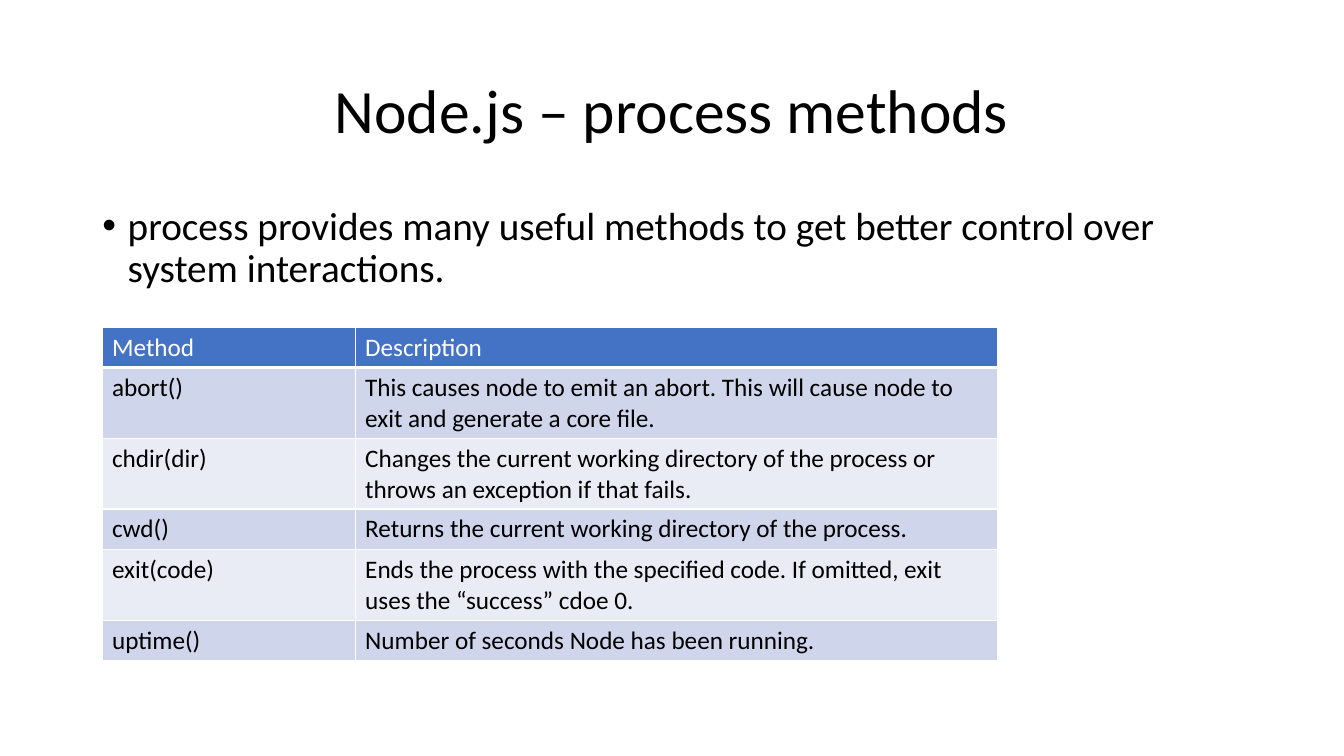
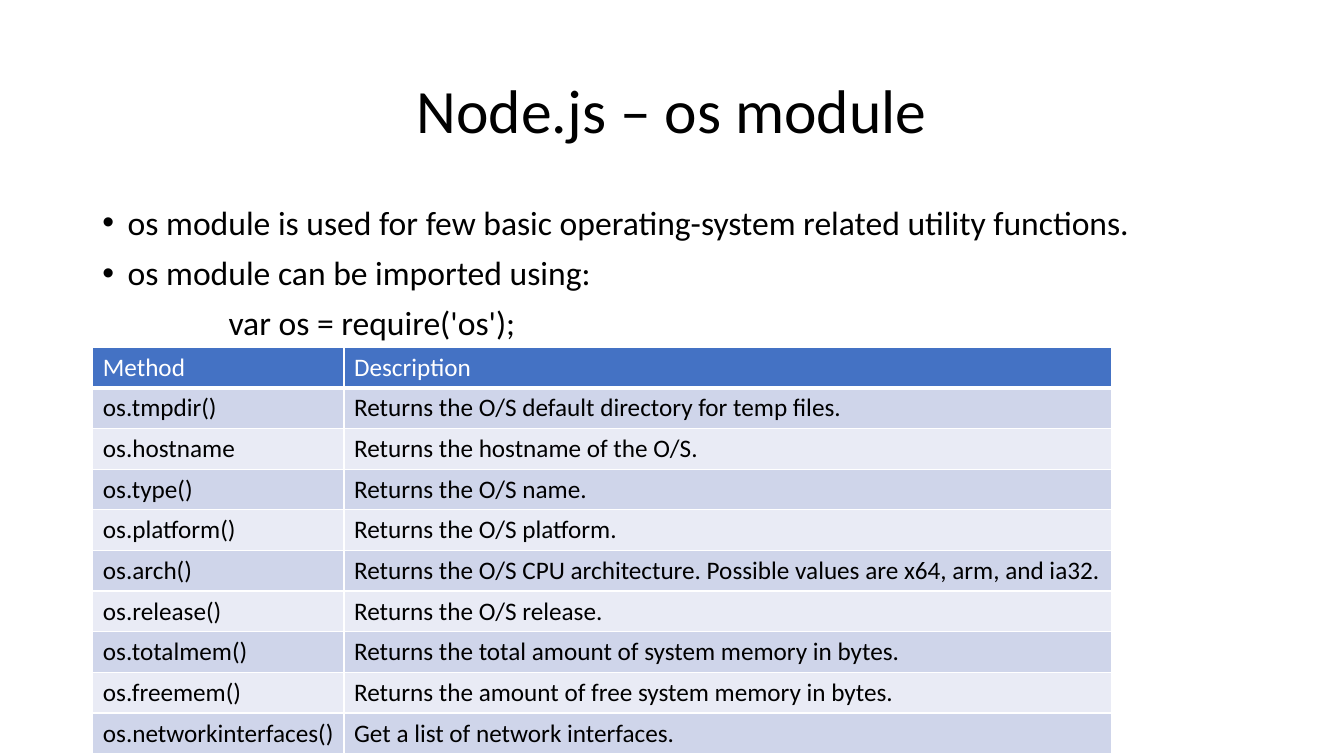
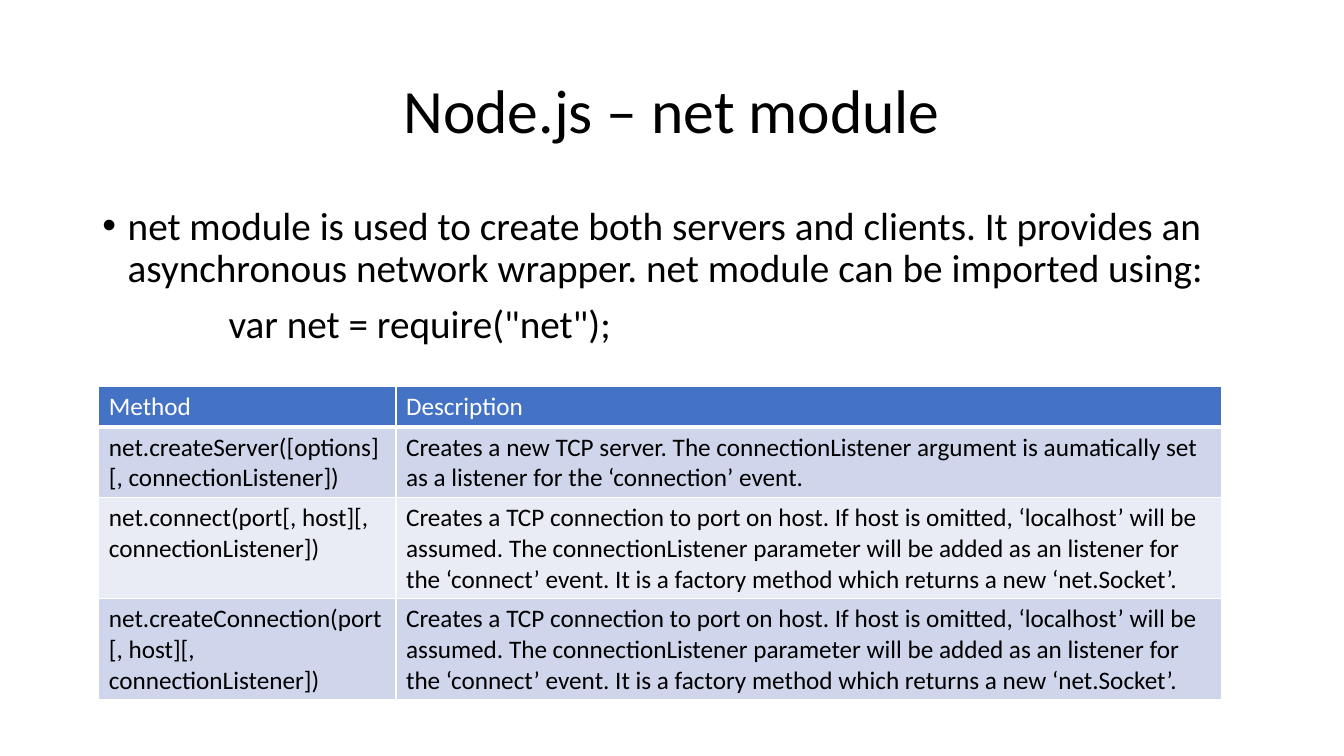
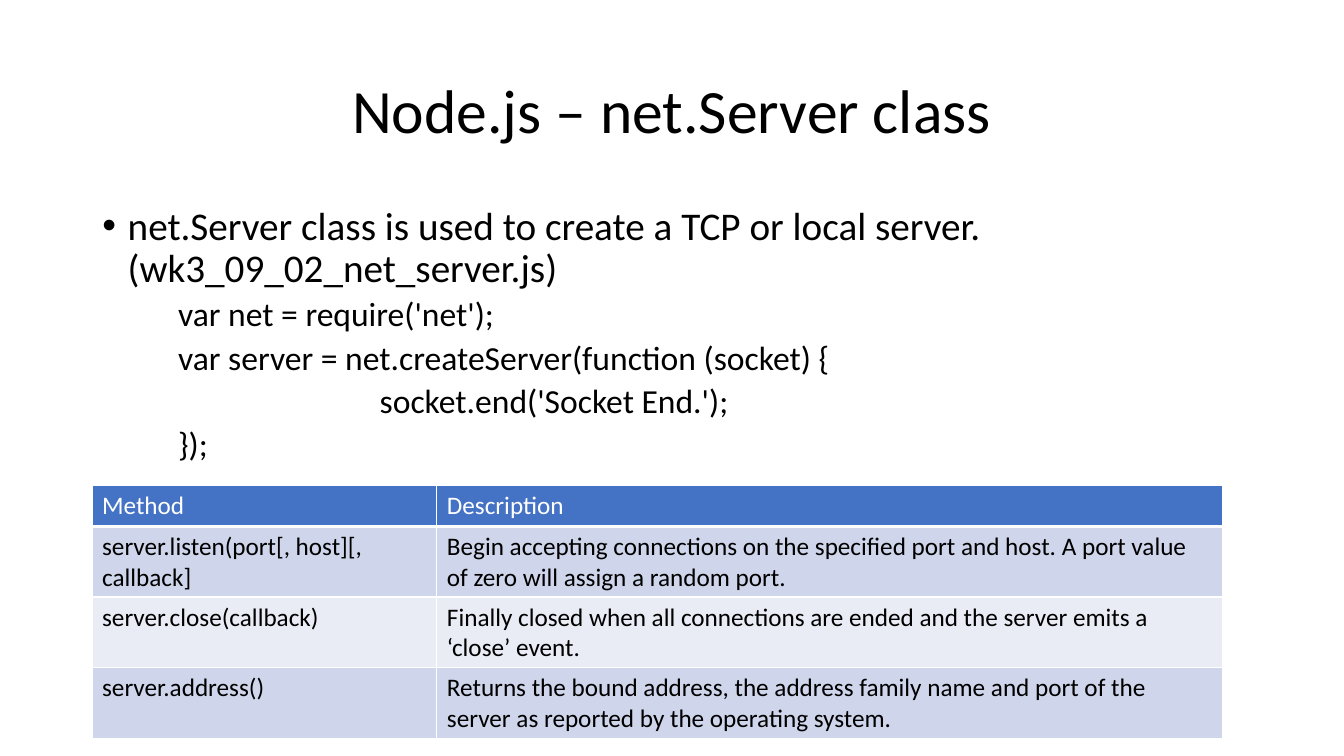
from lxml.etree import SubElement
from pptx import Presentation
from pptx.dml.color import RGBColor
from pptx.enum.text import MSO_ANCHOR, PP_ALIGN
from pptx.oxml import parse_xml
from pptx.oxml.ns import nsdecls, qn
from pptx.util import Cm, Pt

FONT = "Calibri"
BLACK, WHITE = "000000", "FFFFFF"
HEADER_FILL, BAND_FILLS = "4472C4", ("CFD5EA", "E9EBF5")

# Boxes in centimetres: left, top, width, height
TITLE_BOX = (2.33, 1.01, 29.21, 3.68)
BODY_BOX = (2.33, 5.07, 29.21, 12.09)
ROW_PADDING, LINE_HEIGHT = 0.27, 0.755

# Paragraph kinds: left margin and hanging indent in centimetres
BULLET = {"margin": 0.64, "hanging": 0.64, "before": 10}
IMPORT = {"margin": 3.18, "hanging": 0, "before": 10}
CODE = {"margin": 1.91, "hanging": 0, "before": 5}
INNER_CODE = CODE | {"margin": 6.99}

CONNECTION = (
    "Creates a TCP connection to port on host. If host is omitted, ‘localhost’ "
    "will be assumed. The connectionListener parameter will be added as an "
    "listener for the ‘connect’ event. It is a factory method which returns a "
    "new ‘net.Socket’."
)

# Body lines are (kind, size, text); table rows are (line count, method, description).
SLIDES = [
    {
        "title": "Node.js – process methods",
        "body": [
            (BULLET, 28, "process provides many useful methods to get better "
                         "control over system interactions."),
        ],
        "corner": (2.57, 8.24),
        "columns": (6.38, 16.2),
        "rows": [
            (2, "abort()", "This causes node to emit an abort. This will cause "
                           "node to exit and generate a core file."),
            (2, "chdir(dir)", "Changes the current working directory of the "
                              "process or throws an exception if that fails."),
            (1, "cwd()", "Returns the current working directory of the process."),
            (2, "exit(code)", "Ends the process with the specified code. If "
                              "omitted, exit uses the “success” cdoe 0."),
            (1, "uptime()", "Number of seconds Node has been running."),
        ],
    },
    {
        "title": "Node.js – os module",
        "body": [
            (BULLET, 24, "os module is used for few basic operating-system "
                         "related utility functions."),
            (BULLET, 24, "os module can be imported using:"),
            (IMPORT, 24, "var os = require('os');"),
        ],
        "corner": (2.34, 8.75),
        "columns": (6.33, 19.34),
        "rows": [
            (1, "os.tmpdir()", "Returns the O/S default directory for temp files."),
            (1, "os.hostname", "Returns the hostname of the O/S."),
            (1, "os.type()", "Returns the O/S name."),
            (1, "os.platform()", "Returns the O/S platform."),
            (1, "os.arch()", "Returns the O/S CPU architecture. Possible values "
                             "are x64, arm, and ia32."),
            (1, "os.release()", "Returns the O/S release."),
            (1, "os.totalmem()", "Returns the total amount of system memory in bytes."),
            (1, "os.freemem()", "Returns the amount of free system memory in bytes."),
            (1, "os.networkinterfaces()", "Get a list of network interfaces."),
        ],
    },
    {
        "title": "Node.js – net module",
        "body": [
            (BULLET, 28, "net module is used to create both servers and clients. "
                         "It provides an asynchronous network wrapper. net module "
                         "can be imported using:"),
            (IMPORT, 28, 'var net = require("net");'),
        ],
        "corner": (2.49, 9.74),
        "columns": (7.49, 20.8),
        "rows": [
            (2, "net.createServer([options][, connectionListener])",
             "Creates a new TCP server. The connectionListener argument is "
             "aumatically set as a listener for the ‘connection’ event."),
            (3, "net.connect(port[, host][, connectionListener])", CONNECTION),
            (3, "net.createConnection(port[, host][, connectionListener])", CONNECTION),
        ],
    },
    {
        "title": "Node.js – net.Server class",
        "body": [
            (BULLET, 28, "net.Server class is used to create a TCP or local "
                         "server. (wk3_09_02_net_server.js)"),
            (CODE, 24, "var net = require('net');"),
            (CODE, 24, "var server = net.createServer(function (socket) {"),
            (INNER_CODE, 24, "socket.end('Socket End.');"),
            (CODE, 24, "});"),
        ],
        "corner": (2.32, 12.24),
        "columns": (8.69, 19.81),
        "rows": [
            (2, "server.listen(port[, host][, callback]",
             "Begin accepting connections on the specified port and host. A port "
             "value of zero will assign a random port."),
            (2, "server.close(callback)",
             "Finally closed when all connections are ended and the server emits "
             "a ‘close’ event."),
            (2, "server.address()",
             "Returns the bound address, the address family name and port of the "
             "server as reported by the operating system."),
        ],
    },
]


def color(value):
    return RGBColor.from_string(value)


def set_attributes(target, values):
    for name, value in values.items():
        setattr(target, name, value)


def write(paragraph, text, size, text_color=BLACK, **layout):
    run = paragraph.add_run()
    run.text = text
    set_attributes(run.font, {"name": FONT, "size": Pt(size), "bold": False})
    run.font.color.rgb = color(text_color)
    set_attributes(paragraph, layout)


def add_text_frame(slide, box, anchor):
    frame = slide.shapes.add_textbox(*map(Cm, box)).text_frame
    set_attributes(frame, {"word_wrap": True, "vertical_anchor": anchor})
    return frame


def add_title(slide, box, text):
    frame = add_text_frame(slide, box, MSO_ANCHOR.MIDDLE)
    write(frame.paragraphs[0], text, 44, alignment=PP_ALIGN.CENTER, line_spacing=0.9)


def add_body(slide, box, lines):
    frame = add_text_frame(slide, box, MSO_ANCHOR.TOP)
    for index, (kind, size, text) in enumerate(lines):
        paragraph = frame.add_paragraph() if index else frame.paragraphs[0]
        write(paragraph, text, size, line_spacing=0.9, space_before=Pt(kind["before"]))
        properties = paragraph._p.get_or_add_pPr()
        properties.set("marL", str(Cm(kind["margin"])))
        properties.set("indent", str(-Cm(kind["hanging"])))
        if kind is BULLET:
            SubElement(properties, qn("a:buFont")).set("typeface", "Arial")
            SubElement(properties, qn("a:buChar")).set("char", "•")


def add_borders(cell, bottom_width):
    """Draw white borders, 1 pt wide except at the bottom."""
    properties = cell._tc.get_or_add_tcPr()
    widths = {"lnL": 1, "lnR": 1, "lnT": 1, "lnB": bottom_width}
    for index, (side, width) in enumerate(widths.items()):
        properties.insert(index, parse_xml(
            f'<a:{side} {nsdecls("a")} w="{Pt(width)}"><a:solidFill>'
            f'<a:srgbClr val="{WHITE}"/></a:solidFill></a:{side}>'))


def add_method_table(slide, corner, columns, rows):
    rows = [(1, "Method", "Description"), *rows]
    heights = [ROW_PADDING + LINE_HEIGHT * lines for lines, *_ in rows]
    box = (*corner, sum(columns), sum(heights))
    table = slide.shapes.add_table(len(rows), len(columns), *map(Cm, box)).table
    for column, width in zip(table.columns, columns):
        column.width = Cm(width)
    for index, (_, *texts) in enumerate(rows):
        table.rows[index].height = Cm(heights[index])
        is_header = index == 0
        fill = HEADER_FILL if is_header else BAND_FILLS[(index - 1) % 2]
        for cell, text in zip(table.rows[index].cells, texts):
            cell.fill.solid()
            cell.fill.fore_color.rgb = color(fill)
            add_borders(cell, 3 if is_header else 1)
            write(cell.text_frame.paragraphs[0], text, 18, WHITE if is_header else BLACK)


def add_module_slide(presentation, content):
    slide = presentation.slides.add_slide(presentation.slide_layouts[6])
    add_title(slide, TITLE_BOX, content["title"])
    add_body(slide, BODY_BOX, content["body"])
    add_method_table(slide, content["corner"], content["columns"], content["rows"])


def main():
    presentation = Presentation()
    set_attributes(presentation, {"slide_width": Cm(33.87), "slide_height": Cm(19.05)})
    for content in SLIDES:
        add_module_slide(presentation, content)
    presentation.save("out.pptx")


if __name__ == "__main__":
    main()
